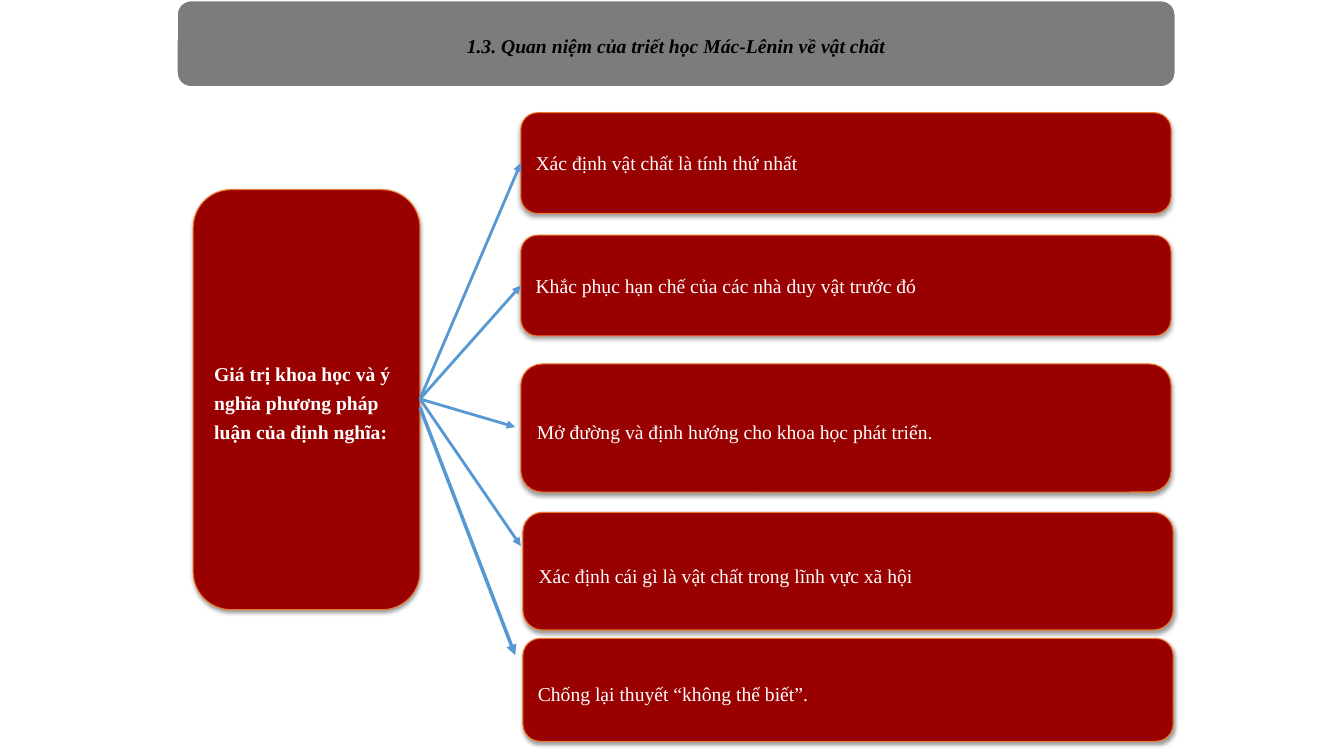
from dataclasses import dataclass

from lxml.etree import SubElement
from pptx import Presentation
from pptx.dml.color import RGBColor
from pptx.enum.shapes import MSO_CONNECTOR, MSO_SHAPE
from pptx.enum.text import MSO_ANCHOR, MSO_AUTO_SIZE, PP_ALIGN
from pptx.oxml.ns import qn
from pptx.shapes.autoshape import Shape
from pptx.slide import Slide
from pptx.text.text import Font
from pptx.util import Pt


@dataclass(frozen=True)
class Theme:
    font: str = "Times New Roman"
    size: float = 14
    bar: RGBColor = RGBColor(0x7C, 0x7C, 0x7C)
    card: RGBColor = RGBColor(0x99, 0x00, 0x00)
    border: RGBColor = RGBColor(0xEC, 0x79, 0x2B)
    arrow: RGBColor = RGBColor(0x56, 0x98, 0xD3)
    light: RGBColor = RGBColor(0xFF, 0xFF, 0xFF)
    dark: RGBColor = RGBColor(0x00, 0x00, 0x00)


@dataclass(frozen=True)
class Box:
    left: float
    top: float
    width: float
    height: float


@dataclass(frozen=True)
class Card:
    text: str
    box: Box
    line_spacing: float = 1.35
    space_after: float = 6
    align: PP_ALIGN = PP_ALIGN.LEFT
    bold: bool = False


@dataclass(frozen=True)
class Arrow:
    x1: float
    y1: float
    x2: float
    y2: float
    weight: float = 2


THEME = Theme()
TITLE = "1.3. Quan niệm của triết học Mác-Lênin về vật chất"
BAR = Box(126, 0, 714, 62.5)
TITLE_BOX = Box(129.5, 5.5, 707, 56)
CARD_WIDTH = 464.5

CARDS = [
    Card("Giá trị khoa học và ý nghĩa phương pháp luận của định nghĩa:",
         Box(138, 135.5, 162, 300), line_spacing=1.25, bold=True),
    Card("Xác định vật chất là tính thứ nhất",
         Box(372, 80.5, CARD_WIDTH, 72), 1, 0, PP_ALIGN.JUSTIFY),
    Card("Khắc phục hạn chế của các nhà duy vật trước đó",
         Box(372, 168, CARD_WIDTH, 72), 1, 0, PP_ALIGN.JUSTIFY),
    Card("Mở đường và định hướng cho khoa học phát triển.",
         Box(372, 260, CARD_WIDTH, 91.5)),
    Card("Xác định cái gì là vật chất trong lĩnh vực xã hội",
         Box(373.5, 366, CARD_WIDTH, 84)),
    Card("Chống lại thuyết “không thể biết”.",
         Box(373.5, 456, CARD_WIDTH, 73.5)),
]

ARROWS = [
    Arrow(300, 285, 372, 116.5),
    Arrow(300, 285, 372, 204),
    Arrow(300, 285, 368, 305),
    Arrow(300, 285, 372, 390),
    Arrow(300, 291, 368, 468, 2.5),
]


def set_font(font: Font, color: RGBColor, bold: bool, italic: bool = False) -> None:
    font.name = THEME.font
    font.size = Pt(THEME.size)
    font.color.rgb = color
    font.bold = bold
    font.italic = italic


def add_round_rect(s: Slide, box: Box, fill: RGBColor, line: RGBColor, weight: float) -> Shape:
    sp = s.shapes.add_shape(MSO_SHAPE.ROUNDED_RECTANGLE, Pt(box.left), Pt(box.top),
                            Pt(box.width), Pt(box.height))
    sp.fill.solid()
    sp.fill.fore_color.rgb = fill
    sp.line.color.rgb = line
    sp.line.width = Pt(weight)
    sp.shadow.inherit = False
    return sp


def add_soft_shadow(sp: Shape) -> None:
    effects = sp.element.spPr.find(qn("a:effectLst"))
    shadow = SubElement(effects, qn("a:outerShdw"), blurRad=str(Pt(3.1)), dist=str(Pt(1.6)),
                        dir="5400000", algn="ctr", rotWithShape="0")
    color = SubElement(shadow, qn("a:srgbClr"), val=str(THEME.dark))
    SubElement(color, qn("a:alpha"), val="38000")


def add_title(s: Slide) -> None:
    """Draw the grey bar and lay the title placeholder over it."""
    bar = add_round_rect(s, BAR, THEME.bar, THEME.light, 2)
    title = s.shapes.title
    bar.element.addnext(title.element)
    title.left, title.top = Pt(TITLE_BOX.left), Pt(TITLE_BOX.top)
    title.width, title.height = Pt(TITLE_BOX.width), Pt(TITLE_BOX.height)
    tf = title.text_frame
    tf.text = TITLE
    tf.auto_size = MSO_AUTO_SIZE.NONE
    tf.vertical_anchor = MSO_ANCHOR.MIDDLE
    tf.margin_left = tf.margin_right = Pt(17)
    tf.margin_top = tf.margin_bottom = 0
    p = tf.paragraphs[0]
    p.alignment = PP_ALIGN.CENTER
    p.line_spacing = 0.9
    set_font(p.font, THEME.dark, bold=True, italic=True)


def add_card(s: Slide, card: Card) -> None:
    sp = add_round_rect(s, card.box, THEME.card, THEME.border, 0.75)
    add_soft_shadow(sp)
    tf = sp.text_frame
    tf.word_wrap = True
    tf.vertical_anchor = MSO_ANCHOR.MIDDLE
    p = tf.paragraphs[0]
    p.text = card.text
    p.alignment = card.align
    p.line_spacing = card.line_spacing
    p.space_after = Pt(card.space_after)
    set_font(p.font, THEME.light, card.bold)


def add_arrow(s: Slide, arrow: Arrow) -> None:
    cx = s.shapes.add_connector(MSO_CONNECTOR.STRAIGHT, Pt(arrow.x1), Pt(arrow.y1),
                                Pt(arrow.x2), Pt(arrow.y2))
    cx.line.color.rgb = THEME.arrow
    cx.line.width = Pt(arrow.weight)
    SubElement(cx.line._get_or_add_ln(), qn("a:tailEnd"), type="triangle")
    SubElement(cx.element.spPr, qn("a:effectLst"))


def main() -> None:
    prs = Presentation()
    prs.slide_width, prs.slide_height = Pt(960), Pt(540)
    s = prs.slides.add_slide(prs.slide_layouts.get_by_name("Title Only"))
    add_title(s)
    for card in CARDS:
        add_card(s, card)
    for arrow in ARROWS:
        add_arrow(s, arrow)
    prs.save("out.pptx")


if __name__ == "__main__":
    main()
